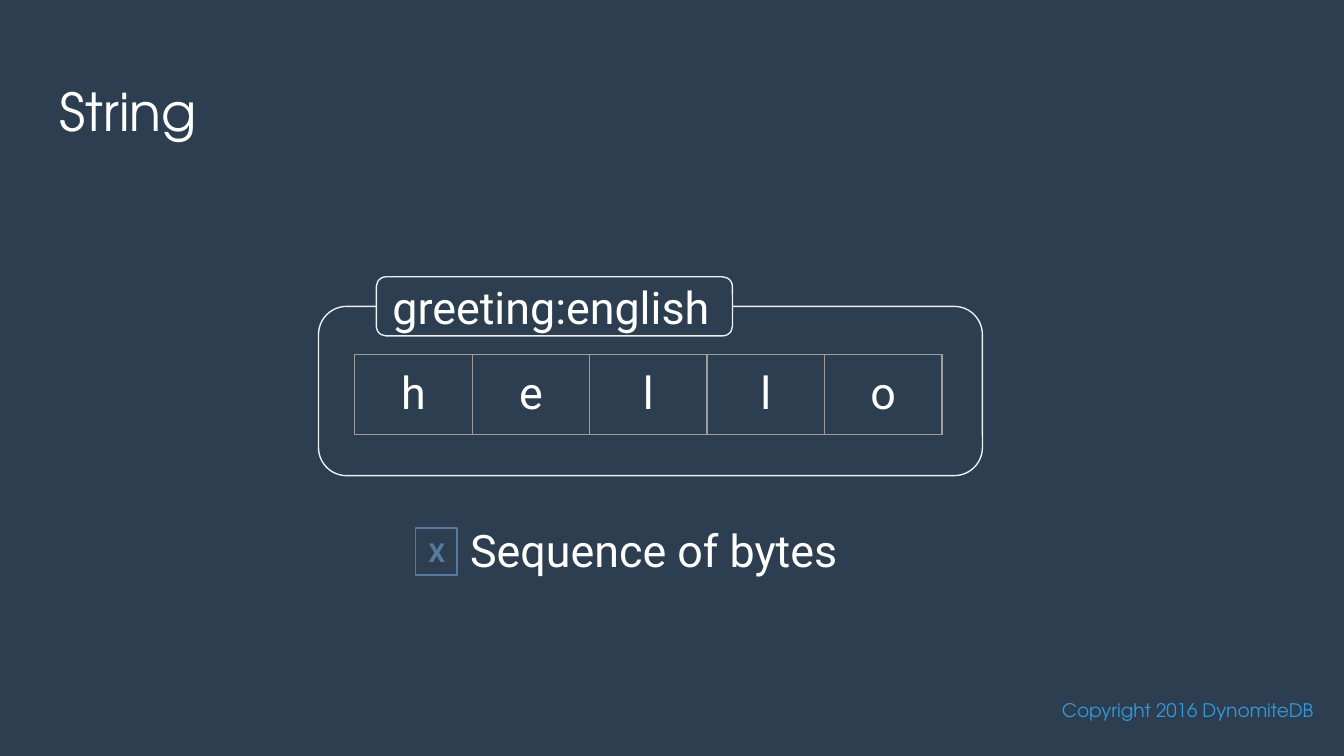
"""Build a slide that shows a string value as a sequence of bytes."""
from dataclasses import dataclass
from typing import Any, Optional

from lxml import etree
from pptx import Presentation
from pptx.dml.color import RGBColor
from pptx.enum import shapes, text
from pptx.oxml import ns
from pptx.util import Inches, Pt


@dataclass(frozen=True)
class Theme:
    background: str = "2C3E50"
    white: str = "FFFFFF"
    outline: str = "ECF0F1"
    grid: str = "9E9E9E"
    accent: str = "56799C"
    credit: str = "3498DB"
    heading_font: str = "TeX Gyre Adventor"
    body_font: str = "Roboto"
    title_size: float = 28
    body_size: float = 24
    mark_size: float = 14
    credit_size: float = 10
    line_width: float = 0.75


@dataclass(frozen=True)
class Area:
    left: float
    top: float
    width: float
    height: float

    def lengths(self) -> tuple:
        """Return the four sides as slide lengths."""
        return tuple(map(Inches, (self.left, self.top, self.width, self.height)))


@dataclass(frozen=True)
class Label:
    words: str
    size: float
    color: str
    font: str = Theme.body_font
    align: text.PP_ALIGN = text.PP_ALIGN.LEFT
    anchor: text.MSO_ANCHOR = text.MSO_ANCHOR.MIDDLE
    bold: bool = False


@dataclass(frozen=True)
class Panel:
    area: Area
    outline: str
    kind: shapes.MSO_SHAPE = shapes.MSO_SHAPE.ROUNDED_RECTANGLE
    fill: Optional[str] = None
    label: Optional[Label] = None


THEME = Theme()
INSET = Inches(0.1)


def write(frame: Any, label: Label) -> None:
    """Write a label as one formatted run."""
    para = frame.paragraphs[0]
    para.alignment = label.align
    span = para.add_run()
    span.text = label.words
    span.font.name = label.font
    span.font.size = Pt(label.size)
    span.font.bold = label.bold
    span.font.color.rgb = RGBColor.from_string(label.color)


def fill_frame(box: Any, label: Label) -> None:
    """Set up the text frame of a shape and write its label."""
    frame = box.text_frame
    frame.word_wrap = True
    frame.auto_size = text.MSO_AUTO_SIZE.NONE
    frame.vertical_anchor = label.anchor
    frame.margin_left = frame.margin_right = INSET
    frame.margin_top = frame.margin_bottom = INSET
    write(frame, label)


def draw_text(parent: Any, area: Area, label: Label) -> None:
    """Draw a text box."""
    fill_frame(parent.add_textbox(*area.lengths()), label)


def draw_panel(parent: Any, panel: Panel) -> None:
    """Draw an outlined shape with an optional fill and label."""
    box = parent.add_shape(panel.kind, *panel.area.lengths())
    box.shadow.inherit = False
    if panel.fill:
        box.fill.solid()
        box.fill.fore_color.rgb = RGBColor.from_string(panel.fill)
    else:
        box.fill.background()
    box.line.color.rgb = RGBColor.from_string(panel.outline)
    box.line.width = Pt(THEME.line_width)
    if panel.label:
        fill_frame(box, panel.label)


def draw_borders(cell: Any) -> None:
    """Outline all four sides of a table cell."""
    properties = cell._tc.get_or_add_tcPr()
    for side in ("a:lnL", "a:lnR", "a:lnT", "a:lnB"):
        line = etree.SubElement(properties, ns.qn(side), w=str(Pt(THEME.line_width)))
        paint = etree.SubElement(line, ns.qn("a:solidFill"))
        etree.SubElement(paint, ns.qn("a:srgbClr"), val=THEME.grid)


def draw_bytes(parent: Any, area: Area, word: str) -> None:
    """Draw one table cell for each letter of a word."""
    table = parent.add_table(1, len(word), *area.lengths()).table
    table.first_row = table.horz_banding = False
    for column, letter in enumerate(word):
        table.columns[column].width = Inches(area.width / len(word))
        cell = table.cell(0, column)
        draw_borders(cell)
        cell.fill.background()
        cell.margin_left = cell.margin_right = INSET
        cell.margin_top = cell.margin_bottom = INSET
        write(cell.text_frame, Label(letter, THEME.body_size, THEME.white,
                                     align=text.PP_ALIGN.CENTER))


def main() -> None:
    """Build and save the deck."""
    deck = Presentation()
    deck.slide_width = Inches(10)
    deck.slide_height = deck.slide_width * 9 // 16
    page = deck.slides.add_slide(deck.slide_layouts[5])
    page.background.fill.solid()
    page.background.fill.fore_color.rgb = RGBColor.from_string(THEME.background)

    title = page.shapes.title
    title.left, title.top, title.width, title.height = Area(0.34, 0.49, 1.63, 0.63).lengths()
    fill_frame(title, Label("String", THEME.title_size, THEME.white, THEME.heading_font,
                            anchor=text.MSO_ANCHOR.TOP))

    draw_text(page.shapes, Area(7.52, 5.1, 2.35, 0.37),
              Label("Copyright 2016 DynomiteDB", THEME.credit_size, THEME.credit,
                    THEME.heading_font, text.PP_ALIGN.RIGHT, text.MSO_ANCHOR.TOP))

    draw_panel(page.shapes, Panel(Area(2.37, 2.28, 4.94, 1.26), THEME.outline))
    draw_bytes(page.shapes, Area(2.64, 2.64, 4.37, 0.59), "hello")
    draw_panel(page.shapes, Panel(Area(2.8, 2.06, 2.65, 0.44), THEME.outline,
                                  fill=THEME.background,
                                  label=Label("greeting:english", THEME.body_size, THEME.white)))

    legend = page.shapes.add_group_shape().shapes
    draw_text(legend, Area(3.4, 3.84, 3.96, 0.49),
              Label("Sequence of bytes", THEME.body_size, THEME.white))
    draw_panel(legend, Panel(Area(3.09, 3.93, 0.31, 0.35), THEME.accent,
                             shapes.MSO_SHAPE.RECTANGLE,
                             label=Label("X", THEME.mark_size, THEME.accent,
                                         align=text.PP_ALIGN.CENTER, bold=True)))
    deck.save("out.pptx")


if __name__ == "__main__":
    main()
